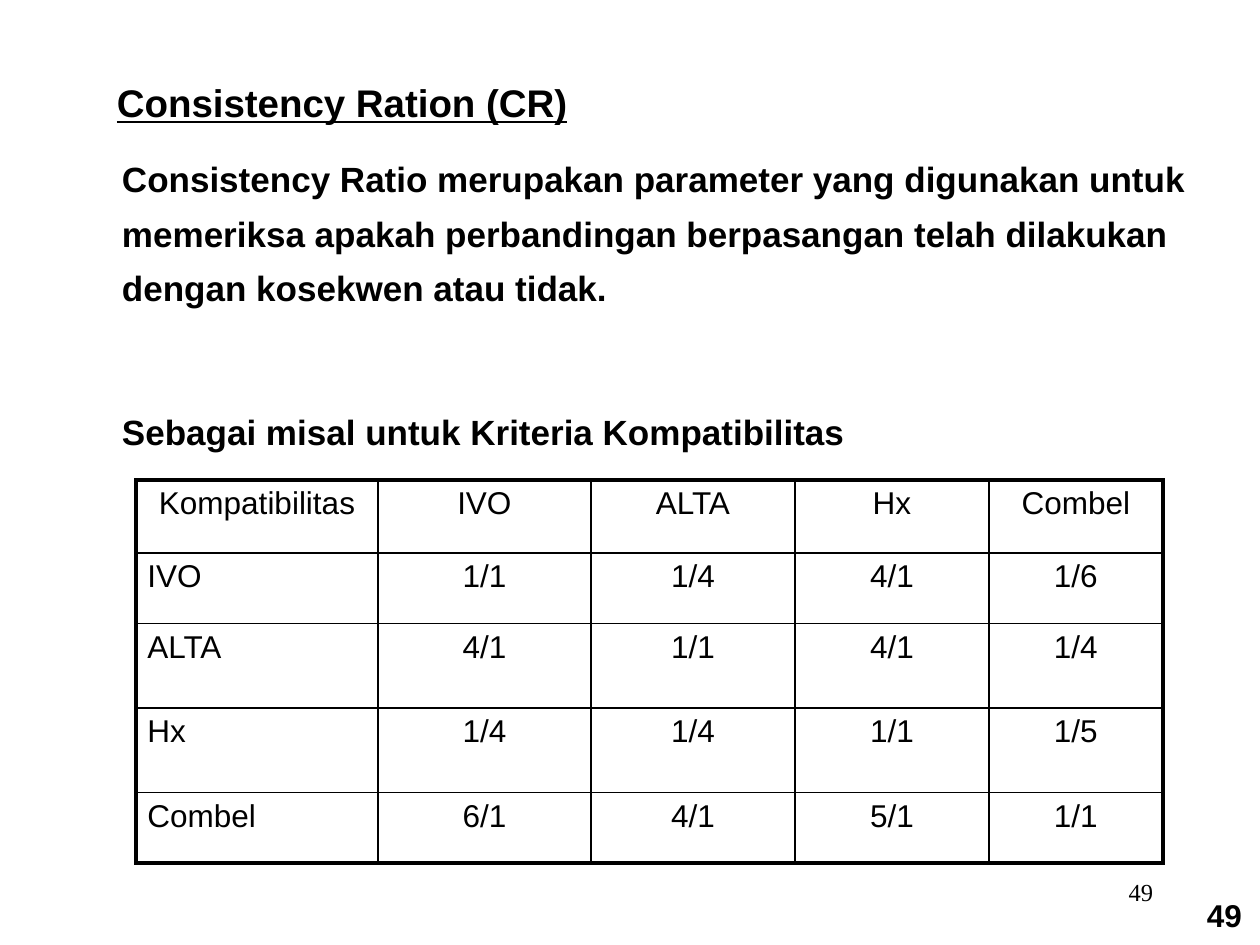
from lxml.etree import SubElement
from pptx import Presentation
from pptx.dml.color import RGBColor
from pptx.enum.text import MSO_ANCHOR, MSO_AUTO_SIZE, PP_ALIGN
from pptx.oxml.ns import qn
from pptx.util import Inches, Pt

HUE = {"ink": "000000", "page": "FFFFFF"}

deck = Presentation()
deck.slide_width, deck.slide_height = Inches(10), Inches(7.5)
slide = deck.slides.add_slide(deck.slide_layouts[6])
slide.background.fill.solid()
slide.background.fill.fore_color.rgb = RGBColor.from_string(HUE["page"])

# Places are given in hundredths of the slide's width and height.
col, row = deck.slide_width / 100, deck.slide_height / 100


def write(para, text, size, face="Arial", bold=False, line=False):
    """Add one styled run to a paragraph."""
    run = para.add_run()
    run.text = text
    font = run.font
    font.name, font.size, font.bold, font.underline = face, Pt(size), bold, line
    font.color.rgb = RGBColor.from_string(HUE["ink"])


def add_box(left, top, width, height, wrap=True, grow=True):
    """Add a text box and return its frame."""
    box = slide.shapes.add_textbox(
        int(left * col), int(top * row), int(width * col), int(height * row))
    frame = box.text_frame
    frame.word_wrap = wrap
    frame.auto_size = MSO_AUTO_SIZE.SHAPE_TO_FIT_TEXT if grow else MSO_AUTO_SIZE.NONE
    return frame


# Page numbers
corner = add_box(94.8, 94.13, 5.1, 5.33, wrap=False)
write(corner.paragraphs[0], "49", 18, bold=True)

foot = add_box(71.7, 91.07, 20.8, 6.67, wrap=False, grow=False)
foot.vertical_anchor = MSO_ANCHOR.MIDDLE
foot.paragraphs[0].alignment = PP_ALIGN.RIGHT
write(foot.paragraphs[0], "49", 14, face="Times New Roman")

# Heading and body
head = add_box(8.3, 7.73, 39.2, 6.27)
write(head.paragraphs[0], "Consistency Ration (CR)", 22, bold=True, line=True)

body = add_box(8.7, 14.67, 88.3, 34.4)
intro, lead = body.paragraphs[0], body.add_paragraph()
write(intro, "Consistency Ratio merupakan parameter yang digunakan untuk "
      "memeriksa apakah perbandingan berpasangan telah dilakukan "
      "dengan kosekwen atau tidak.", 20, bold=True)
write(lead, "Sebagai misal untuk Kriteria Kompatibilitas", 20, bold=True)
intro.line_spacing = lead.line_spacing = 1.3
lead.space_before = Pt(51)

# Pairwise comparison table
names = ["IVO", "ALTA", "Hx", "Combel"]
ratios = ["1/1 1/4 4/1 1/6", "4/1 1/1 4/1 1/4", "1/4 1/4 1/1 1/5", "6/1 4/1 5/1 1/1"]
rows = [["Kompatibilitas"] + names]
rows += [[name] + line.split() for name, line in zip(names, ratios)]
wide = [19.2, 16.9, 16.2, 15.4, 13.8]
tall = [7.73, 7.47, 8.93, 8.93, 7.47]

table = slide.shapes.add_table(
    len(tall), len(wide), int(10.8 * col), int(50.8 * row),
    int(sum(wide) * col), int(sum(tall) * row)).table
table.first_row = table.horz_banding = False
for c, share in enumerate(wide):
    table.columns[c].width = int(share * col)
for r, share in enumerate(tall):
    table.rows[r].height = int(share * row)

for r, texts in enumerate(rows):
    for c, text in enumerate(texts):
        cell = table.cell(r, c)
        cell.margin_left = cell.margin_right = Inches(0.09)
        cell.margin_top = cell.margin_bottom = Inches(0.05)
        para = cell.text_frame.paragraphs[0]
        if r == 0 or c > 0:
            para.alignment = PP_ALIGN.CENTER
        write(para, text, 18)
        outer = {"lnL": c == 0, "lnR": c == len(wide) - 1,
                 "lnT": r == 0, "lnB": r == len(tall) - 1}
        props = cell._tc.get_or_add_tcPr()
        for side, edge in outer.items():
            rule = SubElement(props, qn("a:" + side), w=str(Pt(2.25 if edge else 1)))
            fill = SubElement(rule, qn("a:solidFill"))
            SubElement(fill, qn("a:srgbClr"), val=HUE["ink"])
        cell.fill.background()

deck.save("out.pptx")
